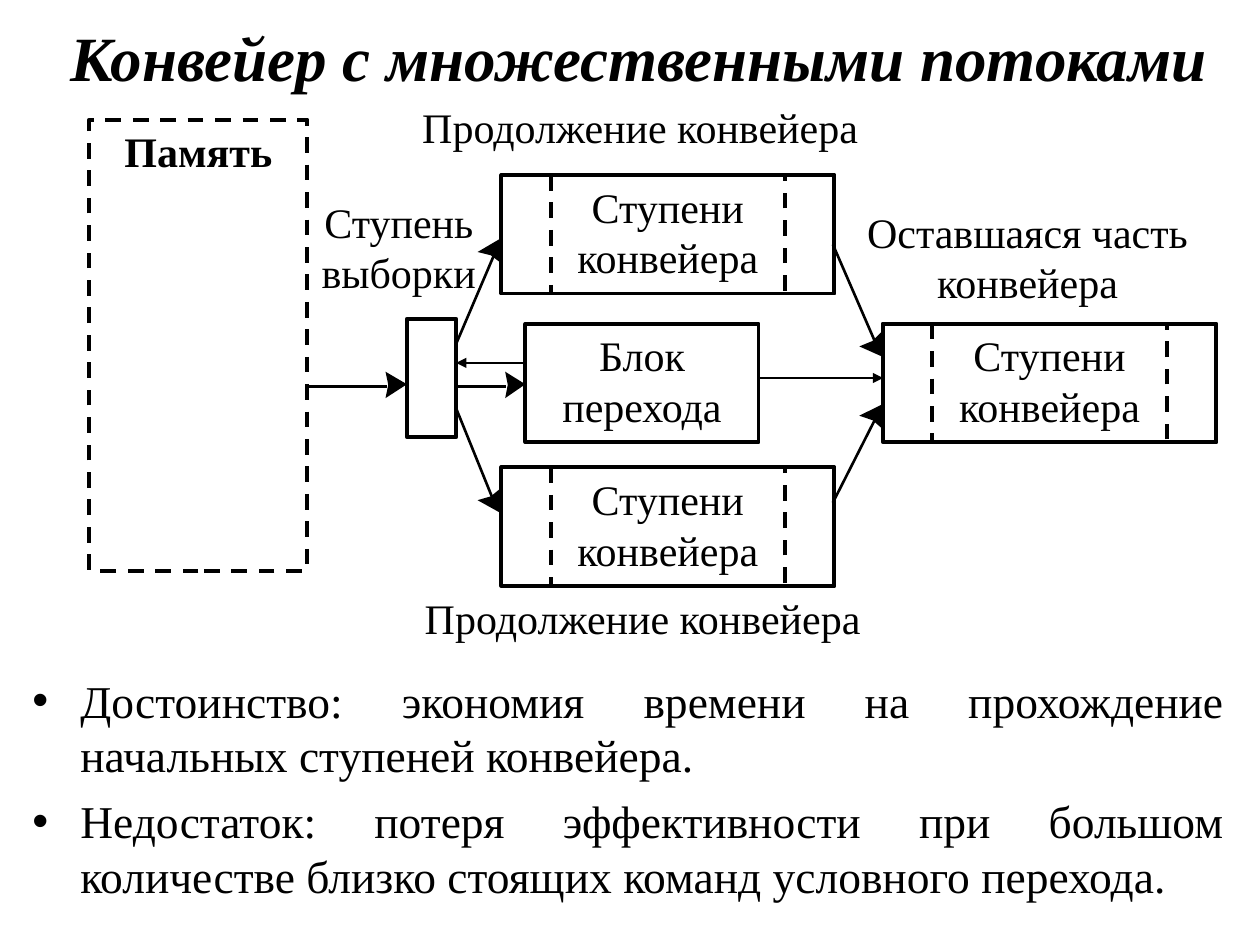
from dataclasses import dataclass

from lxml.etree import SubElement
from pptx import Presentation
from pptx.dml.color import RGBColor
from pptx.enum.dml import MSO_LINE
from pptx.enum.shapes import MSO_CONNECTOR, MSO_SHAPE
from pptx.enum.text import MSO_ANCHOR, PP_ALIGN
from pptx.oxml.ns import qn
from pptx.util import Inches, Pt


@dataclass(frozen=True)
class Theme:
    ink: RGBColor = RGBColor(0, 0, 0)
    font: str = "Times New Roman"
    mark: str = "Arial"
    title: int = 36
    body: int = 26
    label: int = 24
    frame: float = 2.25
    flow: float = 1.5
    thin: float = 0.75


@dataclass(frozen=True)
class Box:
    x: float
    y: float
    w: float
    h: float

    def sub(self, x, y, w, h):
        return Box(self.x + x, self.y + y, w, h)

    def spot(self, point):
        return Inches(self.x + point[0]), Inches(self.y + point[1])

    def emu(self):
        return [Inches(v) for v in (self.x, self.y, self.w, self.h)]


THEME = Theme()


def bullet(para):
    props = para._p.get_or_add_pPr()
    props.set("marL", str(Inches(0.38)))
    props.set("indent", str(-Inches(0.38)))
    SubElement(props, qn("a:buFont"), typeface=THEME.mark)
    SubElement(props, qn("a:buChar"), char="•")


def write(shape, *lines, size=THEME.label, bold=False, italic=False,
          align=PP_ALIGN.CENTER, anchor=MSO_ANCHOR.TOP, dots=False, gap=0):
    frame = shape.text_frame
    frame.word_wrap = True
    frame.vertical_anchor = anchor
    for i, line in enumerate(lines):
        para = frame.paragraphs[0] if i == 0 else frame.add_paragraph()
        if dots:
            bullet(para)
        para.alignment = align
        para.space_before = Pt(gap if i else 0)
        run = para.add_run()
        run.text = line
        font = run.font
        font.name, font.size = THEME.font, Pt(size)
        font.bold, font.italic = bold, italic
        font.color.rgb = THEME.ink


def label(slide, box, *lines, **style):
    write(slide.shapes.add_textbox(*box.emu()), *lines, **style)


def block(shapes, box, text="", dash=False, **style):
    rect = shapes.add_shape(MSO_SHAPE.RECTANGLE, *box.emu())
    rect.shadow.inherit = False
    rect.fill.background()
    rect.line.color.rgb = THEME.ink
    rect.line.width = Pt(THEME.frame)
    if dash:
        rect.line.dash_style = MSO_LINE.DASH
    if text:
        write(rect, text, **style)


def stages(slide, box):
    shapes = slide.shapes.add_group_shape().shapes
    side = 0.39
    block(shapes, box, "Ступени конвейера")
    for x in (0, box.w - side):
        block(shapes, box.sub(x, 0, side, box.h), dash=True)


def link(slide, box, start, end, width, arrow=False):
    line = slide.shapes.add_connector(
        MSO_CONNECTOR.STRAIGHT, *box.spot(start), *box.spot(end))
    line.line.color.rgb = THEME.ink
    line.line.width = Pt(width)
    if arrow:
        SubElement(line.line._get_or_add_ln(), qn("a:tailEnd"), type="triangle")
    SubElement(line._element.spPr, qn("a:effectLst"))


def head(slide, box, tip, left, right):
    mid = [(a + b) / 2 * 0.87 + t * 0.13 for t, a, b in zip(tip, left, right)]
    build = slide.shapes.build_freeform(*box.spot(tip))
    build.add_line_segments([box.spot(p) for p in (left, mid, right)], close=True)
    shape = build.convert_to_shape()
    shape.shadow.inherit = False
    shape.fill.solid()
    shape.fill.fore_color.rgb = THEME.ink
    shape.line.fill.background()


def flows(slide, box):
    arrows = [
        ((2.92, 1.98), (3.24, 1.23), (3.26, 1.15), (3.09, 1.25), (3.28, 1.34)),
        ((2.92, 2.49), (3.24, 3.28), (3.27, 3.32), (3.09, 3.22), (3.28, 3.12)),
        ((5.91, 1.19), (6.27, 2.02), (6.3, 2.08), (6.3, 1.88), (6.12, 2)),
        ((5.91, 3.24), (6.27, 2.53), (6.3, 2.46), (6.31, 2.66), (6.12, 2.55)),
        ((1.74, 2.32), (2.37, 2.32), (2.53, 2.3), (2.36, 2.41), (2.36, 2.2)),
        ((2.92, 2.32), (3.32, 2.32), (3.47, 2.3), (3.31, 2.41), (3.31, 2.2)),
    ]
    for start, end, *points in arrows:
        link(slide, box, start, end, THEME.flow)
        head(slide, box, *points)
    for start, end in (((3.47, 2.13), (2.92, 2.13)), ((5.32, 2.25), (6.31, 2.25))):
        link(slide, box, start, end, THEME.thin, arrow=True)


def scheme(slide, box):
    tall = 0.94
    more = "Продолжение конвейера"
    for text, area in (
        ("Ступень выборки", (1.54, 0.76, 1.85, 1.02)),
        ("Оставшаяся часть конвейера", (5.88, 0.84, 3.15, 0.86)),
        (more, (2.49, 0.01, 3.78, 0.55)),
        (more, (2.41, 3.9, 3.98, 0.55)),
    ):
        label(slide, box.sub(*area), text)
    block(slide.shapes, box.sub(0.01, 0.2, 1.73, 3.58), "Память", dash=True, bold=True)
    block(slide.shapes, box.sub(2.53, 1.78, 0.39, tall))
    block(slide.shapes, box.sub(3.47, 1.82, 1.85, tall), "Блок перехода")
    for x, y in ((3.28, 0.64), (6.31, 1.82), (3.28, 2.96)):
        stages(slide, box.sub(x, y, 2.64, tall))
    flows(slide, box)


def title(slide, box):
    label(slide, box, "Конвейер с множественными потоками", size=THEME.title,
          bold=True, italic=True, anchor=MSO_ANCHOR.MIDDLE)


def points(slide, box):
    label(slide, box,
          "Достоинство: экономия времени на прохождение начальных ступеней конвейера.",
          "Недостаток: потеря эффективности при большом количестве близко стоящих "
          "команд условного перехода.",
          size=THEME.body, align=PP_ALIGN.JUSTIFY, dots=True, gap=6.5)


def main():
    deck = Presentation()
    deck.slide_width, deck.slide_height = Inches(10), Inches(7.5)
    slide = deck.slides.add_slide(deck.slide_layouts[6])
    title(slide, Box(0.14, 0.17, 9.86, 0.55))
    points(slide, Box(0.16, 5.29, 9.66, 1.97))
    scheme(slide, Box(0.7, 0.75, 8.95, 4.45))
    deck.save("out.pptx")


if __name__ == "__main__":
    main()
